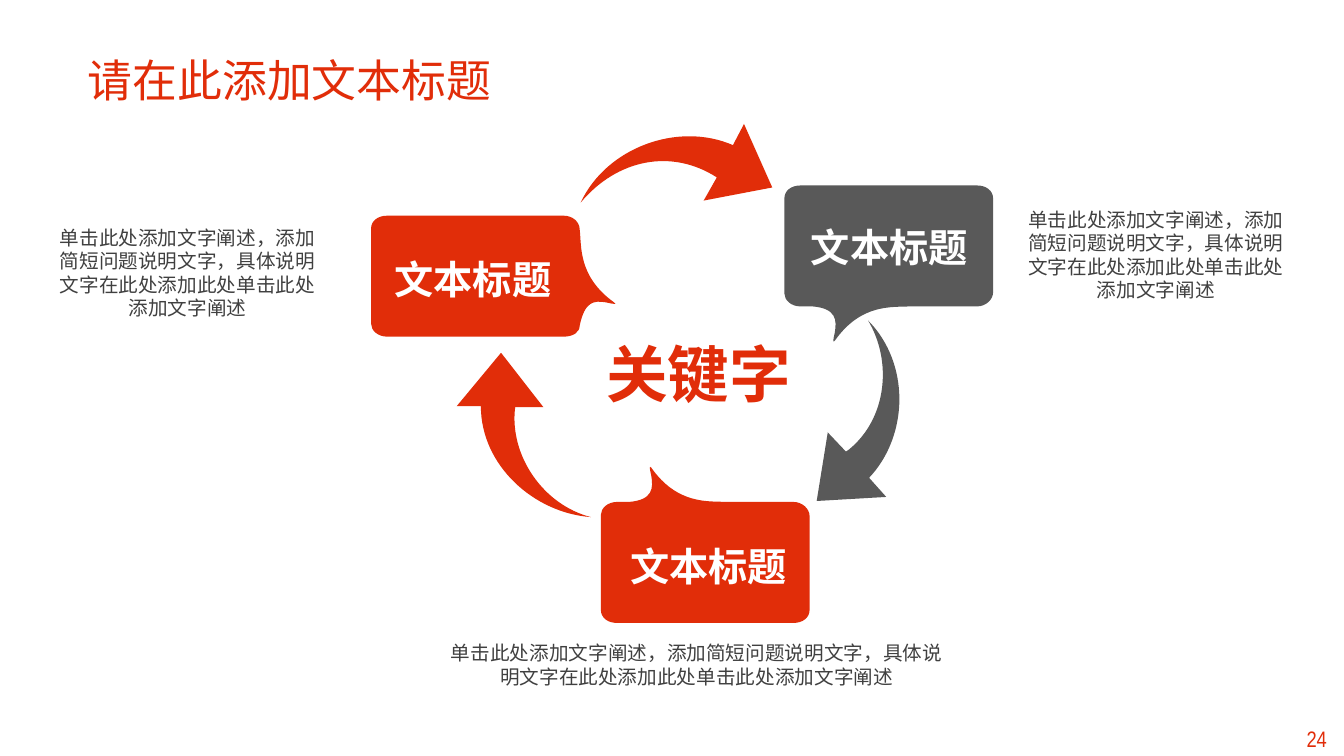
from dataclasses import dataclass

from lxml.etree import SubElement
from pptx import Presentation
from pptx.dml.color import RGBColor
from pptx.enum.text import MSO_ANCHOR, MSO_AUTO_SIZE, PP_ALIGN
from pptx.oxml.ns import qn
from pptx.util import Inches, Pt

RED = RGBColor(0xE1, 0x2D, 0x09)
GRAY = RGBColor(0x59, 0x59, 0x59)
DARK = RGBColor(0x40, 0x40, 0x40)
WHITE = RGBColor(0xFF, 0xFF, 0xFF)
CJK_FONT = "Noto Sans CJK SC"

# A step of two numbers is a line to a point; six numbers are a cubic curve.
Outline = list[tuple[float, ...]]


@dataclass
class Figure:
    color: RGBColor
    outline: Outline
    left: float = 0
    base: float = 0
    direction: int = 1  # -1 turns the figure upside down


@dataclass
class Style:
    size: int
    color: RGBColor
    name: str = CJK_FONT
    bold: bool = False
    align: PP_ALIGN = PP_ALIGN.CENTER
    inset: tuple[float, float] = (0.1, 0.05)
    grow: bool = True


@dataclass
class Caption:
    text: str
    box: tuple[float, float, float, float]
    style: Style


# Speech bubbles, measured from their own corner
LEFT_EDGE: Outline = [
    (0.16, 1.2), (0.07, 1.2, 0, 1.14, 0, 1.07),
    (0, 0.13), (0, 0.05, 0.07, 0, 0.16, 0),
]
TAIL_BELOW: Outline = [
    (0.16, 0), (1.91, 0), (2, 0, 2.07, 0.05, 2.07, 0.13),
    (2.07, 1.06), (2.07, 1.13, 2, 1.2, 1.91, 1.2),
    (1.24, 1.2), (1.07, 1.21, 0.76, 1.17, 0.5, 1.54),
    (0.48, 1.56, 0.48, 1.55, 0.5, 1.46), (0.52, 1.34, 0.52, 1.22, 0.28, 1.2),
] + LEFT_EDGE
TAIL_RIGHT: Outline = [
    (0.16, 0), (1.91, 0), (2, 0, 2.07, 0.06, 2.07, 0.14),
    (2.09, 0.3, 2.05, 0.6, 2.41, 0.86), (2.44, 0.88, 2.42, 0.88, 2.33, 0.86),
    (2.21, 0.84, 2.12, 0.85, 2.07, 1.09), (2.07, 1.16, 2, 1.2, 1.91, 1.2),
] + LEFT_EDGE

# Curved arrows of the cycle, in slide positions
TOP_ARROW: Outline = [
    (7.11, 1.76), (6.66, 1.47, 6.12, 1.58, 5.76, 2.01),
    (6.01, 1.47, 6.72, 1.2, 7.27, 1.44),
    (7.38, 1.23), (7.66, 1.86), (6.98, 1.99),
]
RIGHT_ARROW: Outline = [
    (8.42, 4.46), (8.8, 4.15, 8.85, 3.58, 8.61, 3.18),
    (8.82, 3.39, 8.92, 3.68, 8.92, 3.96), (8.92, 4.24, 8.82, 4.53, 8.62, 4.74),
    (8.79, 4.93), (8.1, 4.97), (8.21, 4.29), (8.39, 4.48),
]
LEFT_ARROW: Outline = [
    (4.53, 4.03), (4.97, 3.5), (5.39, 4.04), (5.11, 4.04),
    (5.05, 4.52, 5.39, 5.01, 5.86, 5.13), (5.3, 5.09, 4.77, 4.62, 4.77, 4.03),
]

# Texts
TITLE = Caption("请在此添加文本标题", (0.77, 0.47, 5.11, 0.64),
                Style(32, RED, align=PP_ALIGN.LEFT))
DETAIL = "单击此处添加文字阐述，添加简短问题说明文字，具体说明文字在此处添加此处单击此处添加文字阐述"
DETAIL_STYLE = Style(14, DARK)
HEADING = "文本标题"
HEADING_STYLE = Style(28, WHITE, "Calibri", True, inset=(0.17, 0), grow=False)
KEYWORD_STYLE = Style(44, RED, "Calibri", True, inset=(0.17, 0), grow=False)

# Everything below the title, from back to front
PARTS: list[Figure | Caption] = [
    Caption("24 ", (12.81, 7.14, 0.55, 0.37), Style(16, RED, "Arial Narrow")),
    Caption("关键字", (5.76, 3.33, 2.34, 0.79), KEYWORD_STYLE),
    Figure(RED, TAIL_RIGHT, 3.68, 2.14),
    Caption(HEADING, (3.52, 2.53, 2.34, 0.79), HEADING_STYLE),
    Caption(DETAIL, (0.45, 2.19, 2.82, 1.04), DETAIL_STYLE),
    Figure(RED, TOP_ARROW),
    Figure(GRAY, TAIL_BELOW, 7.78, 1.84),
    Caption(HEADING, (7.65, 2.22, 2.34, 0.79), HEADING_STYLE),
    Caption(DETAIL, (10.01, 2.01, 2.91, 1.04), DETAIL_STYLE),
    Figure(GRAY, RIGHT_ARROW),
    Figure(RED, TAIL_BELOW, 5.96, 6.18, -1),
    Caption(HEADING, (5.86, 5.38, 2.34, 0.79), HEADING_STYLE),
    Caption(DETAIL, (4.32, 6.31, 5.18, 0.57), DETAIL_STYLE),
    Figure(RED, LEFT_ARROW),
]


def draw_figure(slide, figure: Figure) -> None:
    """Join the end points of all steps, then bend the curved ones."""
    steps = [
        [(Inches(figure.left + x), Inches(figure.base + figure.direction * y))
         for x, y in zip(step[::2], step[1::2])]
        for step in figure.outline
    ]
    builder = slide.shapes.build_freeform(*steps[0][0])
    builder.add_line_segments([step[-1] for step in steps[1:]], close=True)
    shape = builder.convert_to_shape()

    segments = list(shape._element.iter(qn("a:lnTo")))
    for segment, step in zip(segments, steps[1:]):
        for place, (x, y) in enumerate(step[:-1]):
            control = SubElement(segment, qn("a:pt"))
            control.set("x", str(x - shape.left))
            control.set("y", str(y - shape.top))
            segment.insert(place, control)
        if len(step) == 3:
            segment.tag = qn("a:cubicBezTo")

    shape.shadow.inherit = False
    shape.fill.solid()
    shape.fill.fore_color.rgb = figure.color
    shape.line.fill.background()


def write(holder, caption: Caption) -> None:
    style = caption.style
    holder.left, holder.top, holder.width, holder.height = map(Inches, caption.box)
    frame = holder.text_frame
    across, down = map(Inches, style.inset)
    frame_format = {
        "word_wrap": True,
        "auto_size": MSO_AUTO_SIZE.SHAPE_TO_FIT_TEXT if style.grow else MSO_AUTO_SIZE.NONE,
        "vertical_anchor": MSO_ANCHOR.TOP,
        "margin_left": across, "margin_right": across,
        "margin_top": down, "margin_bottom": down,
    }
    for key, value in frame_format.items():
        setattr(frame, key, value)
    paragraph = frame.paragraphs[0]
    paragraph.alignment = style.align
    run = paragraph.add_run()
    run.text = caption.text
    font_format = {"size": Pt(style.size), "bold": style.bold, "name": style.name}
    for key, value in font_format.items():
        setattr(run.font, key, value)
    run.font.color.rgb = style.color
    SubElement(run.font._element, qn("a:ea")).set("typeface", CJK_FONT)


def main() -> None:
    deck = Presentation()
    deck.slide_width, deck.slide_height = Inches(13.33), Inches(7.5)
    slide = deck.slides.add_slide(deck.slide_layouts[5])

    write(slide.shapes.title, TITLE)
    for part in PARTS:
        if isinstance(part, Figure):
            draw_figure(slide, part)
        else:
            write(slide.shapes.add_textbox(0, 0, 0, 0), part)

    deck.save("out.pptx")


if __name__ == "__main__":
    main()
